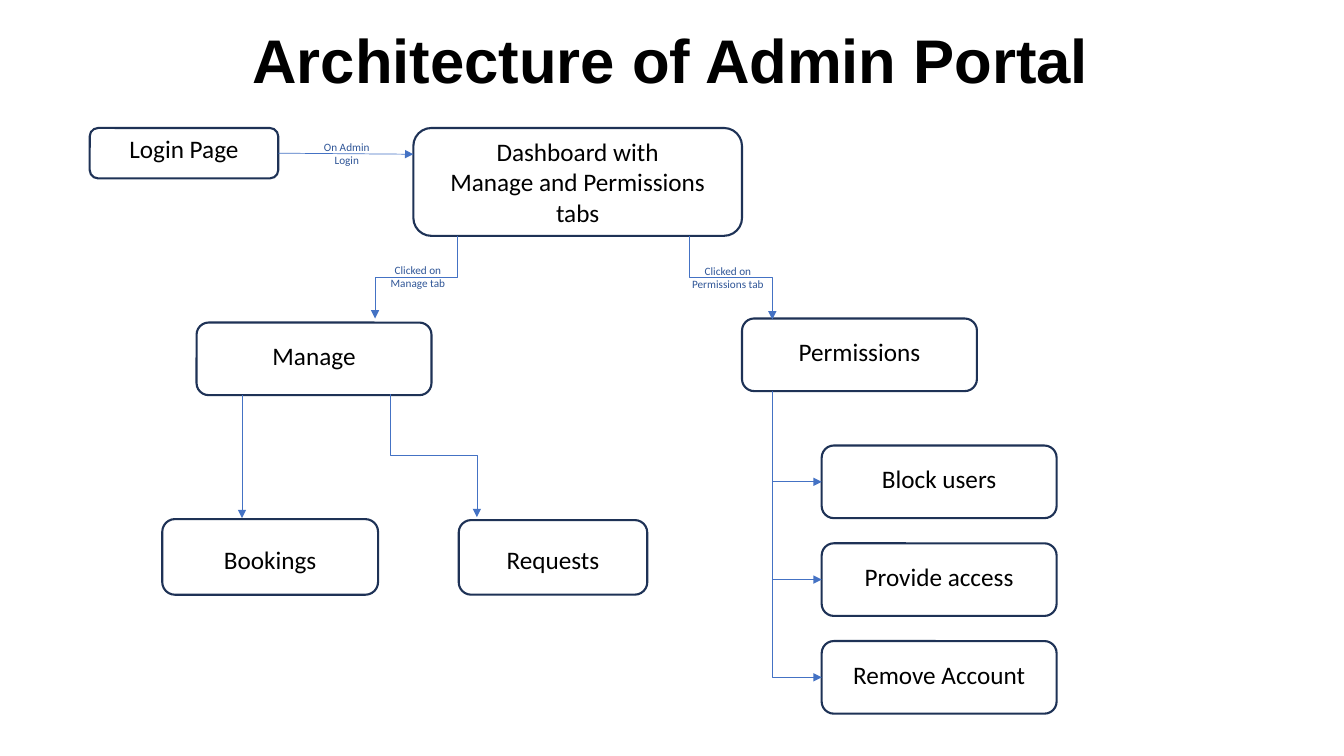
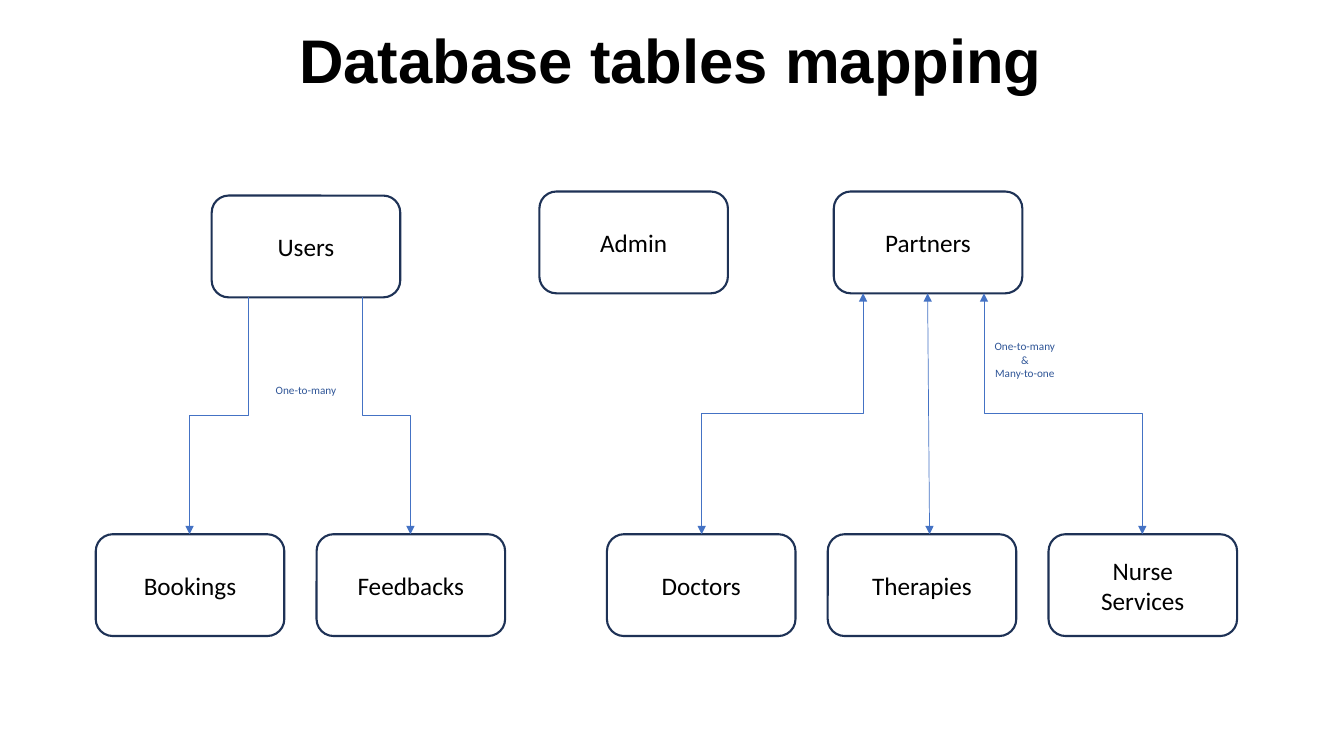
from dataclasses import dataclass

from pptx import Presentation
from pptx.dml.color import RGBColor
from pptx.enum.shapes import MSO_CONNECTOR as Link, MSO_SHAPE as Shape
from pptx.enum.text import MSO_ANCHOR as Anchor, MSO_AUTO_SIZE as AutoSize, PP_ALIGN as Align
from pptx.oxml.ns import qn
from pptx.util import Inches, Pt
from lxml.etree import SubElement


@dataclass(frozen=True)
class Theme:
    ink: RGBColor = RGBColor(0x00, 0x00, 0x00)
    outline: RGBColor = RGBColor(0x1E, 0x32, 0x56)
    arrow: RGBColor = RGBColor(0x44, 0x72, 0xC4)
    label: RGBColor = RGBColor(0x2F, 0x55, 0x97)
    title_font: str = "Arial"
    body_font: str = "Calibri"
    title_size: Pt = Pt(44)
    box_size: Pt = Pt(18)
    label_size: Pt = Pt(8)
    outline_width: Pt = Pt(1.5)
    arrow_width: Pt = Pt(0.5)


class Deck:
    """Holds the theme and the current slide; lengths are given in inches."""

    def __init__(self, theme):
        self.theme = theme
        self.prs = Presentation()
        self.prs.slide_width, self.prs.slide_height = Inches(13.33), Inches(7.5)
        self.slide = None

    def add_lines(self, frame, lines, font, size, color, bold=False):
        for number, line in enumerate(lines):
            para = frame.paragraphs[0] if number == 0 else frame.add_paragraph()
            para.alignment = Align.CENTER
            run = para.add_run()
            run.text = line
            run.font.name, run.font.size, run.font.bold = font, size, bold
            run.font.color.rgb = color

    def new_slide(self, heading):
        self.slide = self.prs.slides.add_slide(self.prs.slide_layouts[5])
        title = self.slide.shapes.title
        title.left, title.top = Inches(0.51), Inches(0.25)
        title.width, title.height = Inches(12.29), Inches(1.01)
        frame = title.text_frame
        frame.auto_size, frame.vertical_anchor = AutoSize.NONE, Anchor.TOP
        theme = self.theme
        self.add_lines(frame, [heading], theme.title_font, theme.title_size, theme.ink, bold=True)
        frame.paragraphs[0].line_spacing = 0.9
        frame.paragraphs[0].space_before = Pt(10)

    def box(self, x, y, width, height, *lines, lift=0):
        """Rounded box; lift raises its text above the middle."""
        box = self.slide.shapes.add_shape(
            Shape.ROUNDED_RECTANGLE, Inches(x), Inches(y), Inches(width), Inches(height))
        box.shadow.inherit = False
        box.fill.background()
        box.line.color.rgb = self.theme.outline
        box.line.width = self.theme.outline_width
        frame = box.text_frame
        frame.word_wrap, frame.vertical_anchor = True, Anchor.MIDDLE
        frame.margin_top, frame.margin_bottom = Inches(0.05 - lift), Inches(0.05 + lift)
        self.add_lines(frame, lines, self.theme.body_font, self.theme.box_size, self.theme.ink)

    def label(self, x, y, width, height, *lines):
        label = self.slide.shapes.add_textbox(
            Inches(x), Inches(y), Inches(width), Inches(height))
        frame = label.text_frame
        frame.word_wrap, frame.vertical_anchor = True, Anchor.MIDDLE
        frame.margin_left = frame.margin_right = 0
        self.add_lines(frame, lines, self.theme.body_font, self.theme.label_size, self.theme.label)

    def connect(self, kind, x1, y1, x2, y2, both):
        link = self.slide.shapes.add_connector(
            kind, Inches(x1), Inches(y1), Inches(x2), Inches(y2))
        link.line.color.rgb = self.theme.arrow
        link.line.width = self.theme.arrow_width
        props = link._element.spPr
        stroke = props.find(qn("a:ln"))
        for end in (["a:headEnd"] if both else []) + ["a:tailEnd"]:
            SubElement(stroke, qn(end)).set("type", "triangle")
        SubElement(props, qn("a:effectLst"))
        return props

    def arrow(self, x1, y1, x2, y2, both=False):
        self.connect(Link.STRAIGHT, x1, y1, x2, y2, both)

    def elbow(self, x1, y1, x2, y2, both=False, corner=False):
        """Arrow that leaves downwards; corner gives one bend instead of two."""
        run, drop = abs(x2 - x1), y2 - y1
        left, top = (x1 + x2 - drop) / 2, (y1 + y2 - run) / 2
        props = self.connect(Link.ELBOW, left, top, left + drop, top + run, both)
        # Turn the sideways elbow so that its first leg is vertical
        frame = props.find(qn("a:xfrm"))
        if x2 > x1:
            frame.set("rot", str(270 * 60000))
            frame.set("flipH", "1")
        else:
            frame.set("rot", str(90 * 60000))
        if corner:
            props.find(qn("a:prstGeom")).set("prst", "bentConnector2")


def admin_portal(deck):
    deck.new_slide("Architecture of Admin Portal")

    # Login and dashboard
    deck.box(4.1, 1.27, 3.26, 1.07, "Dashboard with", "Manage and Permissions", "tabs")
    deck.box(0.89, 1.27, 1.87, 0.5, "Login Page", lift=0.05)
    deck.arrow(2.76, 1.52, 4.1, 1.53)
    deck.label(3.11, 1.34, 0.66, 0.37, "On Admin", "Login")

    # Manage branch
    deck.box(1.95, 3.2, 2.33, 0.72, "Manage", lift=0.03)
    deck.box(1.61, 5.15, 2.14, 0.75, "Bookings", lift=-0.02)
    deck.box(4.55, 5.16, 1.87, 0.74, "Requests", lift=-0.02)
    deck.elbow(4.54, 2.34, 3.72, 3.16)
    deck.label(3.77, 2.56, 0.75, 0.37, "Clicked on", "Manage tab")
    deck.arrow(2.4, 3.92, 2.4, 5.14)
    deck.elbow(3.87, 3.91, 4.73, 5.13)

    # Permissions branch
    trunk, actions_left = 7.66, 8.15
    deck.box(7.36, 3.16, 2.33, 0.72, "Permissions", lift=0.03)
    deck.elbow(6.84, 2.34, trunk, 3.17)
    deck.label(6.76, 2.57, 0.92, 0.37, "Clicked on", "Permissions tab")
    actions = ["Block users", "Provide access", "Remove Account"]
    for row, action in enumerate(actions):
        top = 4.42 + row * 0.97
        middle = top + 0.36
        deck.box(actions_left, top, 2.33, 0.72, action, lift=0.03)
        if action == actions[-1]:
            deck.elbow(trunk, 3.88, actions_left, middle, corner=True)
        else:
            deck.arrow(trunk, middle, actions_left, middle)


def database_mapping(deck):
    deck.new_slide("Database tables mapping")
    width, height, child_top, step = 1.87, 1.01, 5.3, 2.19

    # Parent tables
    for x, y, table in [(2.1, 1.94, "Users"), (5.35, 1.9, "Admin"), (8.27, 1.9, "Partners")]:
        deck.box(x, y, width, height, table)

    # Child tables
    families = [
        (0.95, [["Bookings"], ["Feedbacks"]]),
        (6.02, [["Doctors"], ["Therapies"], ["Nurse", "Services"]]),
    ]
    for left, children in families:
        for column, lines in enumerate(children):
            deck.box(left + column * step, child_top, width, height, *lines)

    # Users: one-way relations
    for start, end in [(2.46, 1.88), (3.59, 4.07)]:
        deck.elbow(start, 2.95, end, child_top)
    deck.label(2.63, 3.75, 0.81, 0.24, "One-to-many")

    # Partners: two-way relations
    for start, end in [(8.56, 6.96), (9.76, 11.33)]:
        deck.elbow(start, 2.91, end, child_top, both=True)
    deck.arrow(9.2, 2.91, 9.22, child_top, both=True)
    deck.label(9.76, 3.32, 0.81, 0.5, "One-to-many", "&", "Many-to-one")


def main():
    deck = Deck(Theme())
    admin_portal(deck)
    database_mapping(deck)
    deck.prs.save("out.pptx")


if __name__ == "__main__":
    main()
